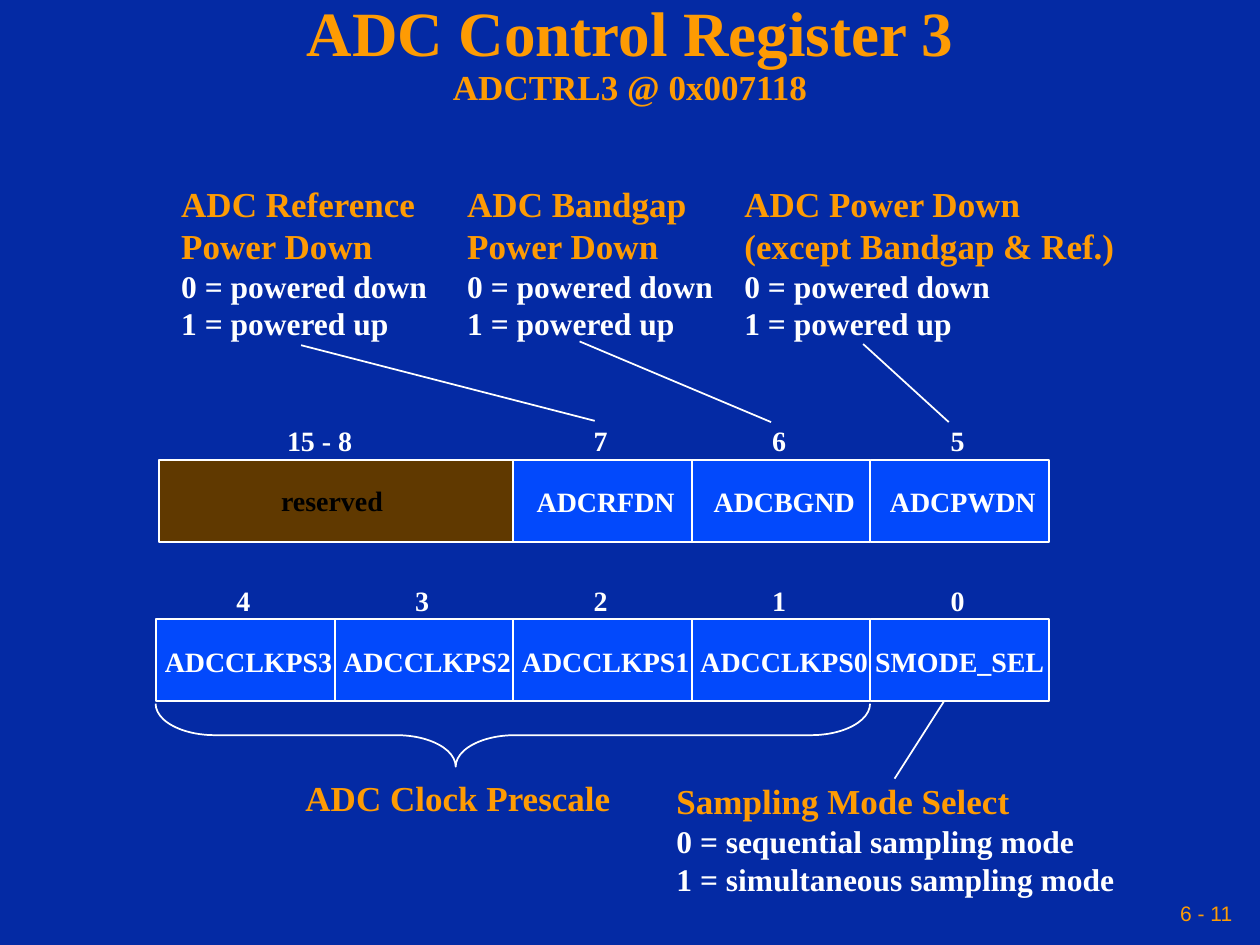
from lxml import etree
from pptx import Presentation, util as u
from pptx.dml.color import RGBColor
from pptx.enum import shapes, text
from pptx.oxml.ns import qn

NAVY, BLUE, BROWN = "042AA4", "0249FC", "603900"
ORANGE, WHITE, BLACK = "FE9B03", "FFFFFF", "000000"
SERIF, SANS = "Times New Roman", "Arial"
LEFT, CENTER, RIGHT = text.PP_ALIGN.LEFT, text.PP_ALIGN.CENTER, text.PP_ALIGN.RIGHT

# The slide is a grid of 100 columns by 75 rows.
COLUMNS, ROWS = 100, 75
FIELD_LEFT, FIELD_WIDTH, FIELD_HEIGHT = 12.4, 14.17, 6.5


def color(value):
    return RGBColor.from_string(value)


def grid(*lengths):
    """Turn grid columns or rows into slide lengths."""
    return [u.Inches(length / 10) for length in lengths]


class RegisterSlide:
    def __init__(self, deck):
        self.page = deck.slides.add_slide(deck.slide_layouts[6])
        self.page.background.fill.solid()
        self.page.background.fill.fore_color.rgb = color(NAVY)

    def style(self, para, size, ink, align=LEFT, font=SERIF, bold=True):
        para.alignment = align
        para.font.name, para.font.size, para.font.bold = font, u.Pt(size), bold
        para.font.color.rgb = color(ink)

    def label(self, at, lines, align=LEFT):
        """Add a text box; each line is (wording, size, colour)."""
        box = self.page.shapes.add_textbox(*grid(*at))
        frame = box.text_frame
        frame.word_wrap = False
        frame.auto_size = text.MSO_AUTO_SIZE.SHAPE_TO_FIT_TEXT
        for index, (wording, size, ink) in enumerate(lines):
            para = frame.add_paragraph() if index else frame.paragraphs[0]
            para.text = wording
            self.style(para, size, ink, align)

    def banner(self, at):
        """Add a middle-anchored box with narrow margins; return its paragraph."""
        frame = self.page.shapes.add_textbox(*grid(*at)).text_frame
        frame.word_wrap = True
        frame.vertical_anchor = text.MSO_ANCHOR.MIDDLE
        frame.margin_left = frame.margin_right = u.Inches(0.05)
        return frame.paragraphs[0]

    def title(self, heading, subtitle):
        para = self.banner((0, 1, COLUMNS, 6.7))
        para.line_spacing = 0.9
        self.style(para, 36, ORANGE, CENTER)
        para.add_run().text = heading
        para.add_line_break()
        span = para.add_run()
        span.text = subtitle
        span.font.size = u.Pt(20)

    def page_number(self, wording):
        para = self.banner((68.3, 70.8, 30, 3.3))
        para.text = wording
        self.style(para, 12, ORANGE, RIGHT, SANS, False)

    def outline(self, shape):
        shape.line.color.rgb = color(WHITE)
        shape.line.width = u.Pt(1)

    def field(self, left, top, width, fill):
        box = self.page.shapes.add_shape(
            shapes.MSO_SHAPE.RECTANGLE, *grid(left, top, width, FIELD_HEIGHT))
        box.shadow.inherit = False
        box.fill.solid()
        box.fill.fore_color.rgb = color(fill)
        self.outline(box)

    def fields(self, first, top, bits):
        """Add one-bit fields side by side; each is (bit, name, name width, shift)."""
        for slot, (bit, name, width, shift) in enumerate(bits, first):
            left = FIELD_LEFT + slot * FIELD_WIDTH
            middle = left + FIELD_WIDTH / 2
            self.field(left, top, FIELD_WIDTH, BLUE)
            self.label((middle + shift - width / 2, top + 1.5, width, 3.7),
                       [(name, 16, WHITE)], CENTER)
            self.label((middle - 1.7, top - 3.35, 3.1, 3.6), [(bit, 16, WHITE)])

    def note(self, at, headings, values):
        self.label(at, [(line, 20, ORANGE) for line in headings]
                   + [(line, 18, WHITE) for line in values])

    def brace(self, at, curl, point):
        """Add a brace opening upwards, given its frame before the turn."""
        brace = self.page.shapes.add_shape(shapes.MSO_SHAPE.RIGHT_BRACE, *grid(*at))
        brace.rotation = 90
        brace.adjustments[0], brace.adjustments[1] = curl, point
        brace.shadow.inherit = False
        brace.fill.background()
        self.outline(brace)

    def leader(self, start, end):
        line = self.page.shapes.add_connector(
            shapes.MSO_CONNECTOR.STRAIGHT, *grid(*start, *end))
        self.outline(line)
        etree.SubElement(line._element.spPr, qn("a:effectLst"))


def main():
    deck = Presentation()
    deck.slide_width, deck.slide_height = grid(COLUMNS, ROWS)
    slide = RegisterSlide(deck)
    slide.page_number("6 - 11")
    slide.title("ADC Control Register 3", "ADCTRL3 @ 0x007118")

    slide.brace((38.2, 30, 5, 56.7), 0.94, 0.58)
    slide.note((52.7, 61.4, 37.5, 10.4), ["Sampling Mode Select"],
               ["0 = sequential sampling mode", "1 = simultaneous sampling mode"])
    slide.label((23.1, 61.1, 26.5, 4.4), [("ADC Clock Prescale", 20, ORANGE)], CENTER)
    slide.fields(0, 49.15, [
        ("4", "ADCCLKPS3", 15.6, 0.25), ("3", "ADCCLKPS2", 15.6, 0.25),
        ("2", "ADCCLKPS1", 15.6, 0.25), ("1", "ADCCLKPS0", 15.6, 0.25),
        ("0", "SMODE_SEL", 15.6, 0)])
    slide.leader((71, 61.8), (74.9, 55.7))

    slide.field(12.6, 36.5, 28.2, BROWN)
    slide.label((21.2, 37.9, 10.3, 3.7), [("reserved", 16, BLACK)], CENTER)
    slide.label((21.8, 33.15, 7.4, 3.6), [("15 - 8", 16, WHITE)])
    slide.fields(2, 36.5, [
        ("7", "ADCRFDN", 13.3, 0.25), ("6", "ADCBGND", 13.5, 0.25),
        ("5", "ADCPWDN", 13.9, 0.25)])
    power_notes = [
        (13.4, 22, ["ADC Reference", "Power Down"], (23.9, 27.4), (47.2, 33.4)),
        (36.1, 22, ["ADC Bandgap", "Power Down"], (46, 27.1), (61.2, 33.5)),
        (58.1, 32, ["ADC Power Down", "(except Bandgap & Ref.)"],
         (68.5, 27.3), (75.3, 33.5))]
    for left, width, headings, start, end in power_notes:
        slide.note((left, 14, width, 13.7), headings,
                   ["0 = powered down", "1 = powered up"])
        slide.leader(start, end)

    deck.save("out.pptx")


if __name__ == "__main__":
    main()
